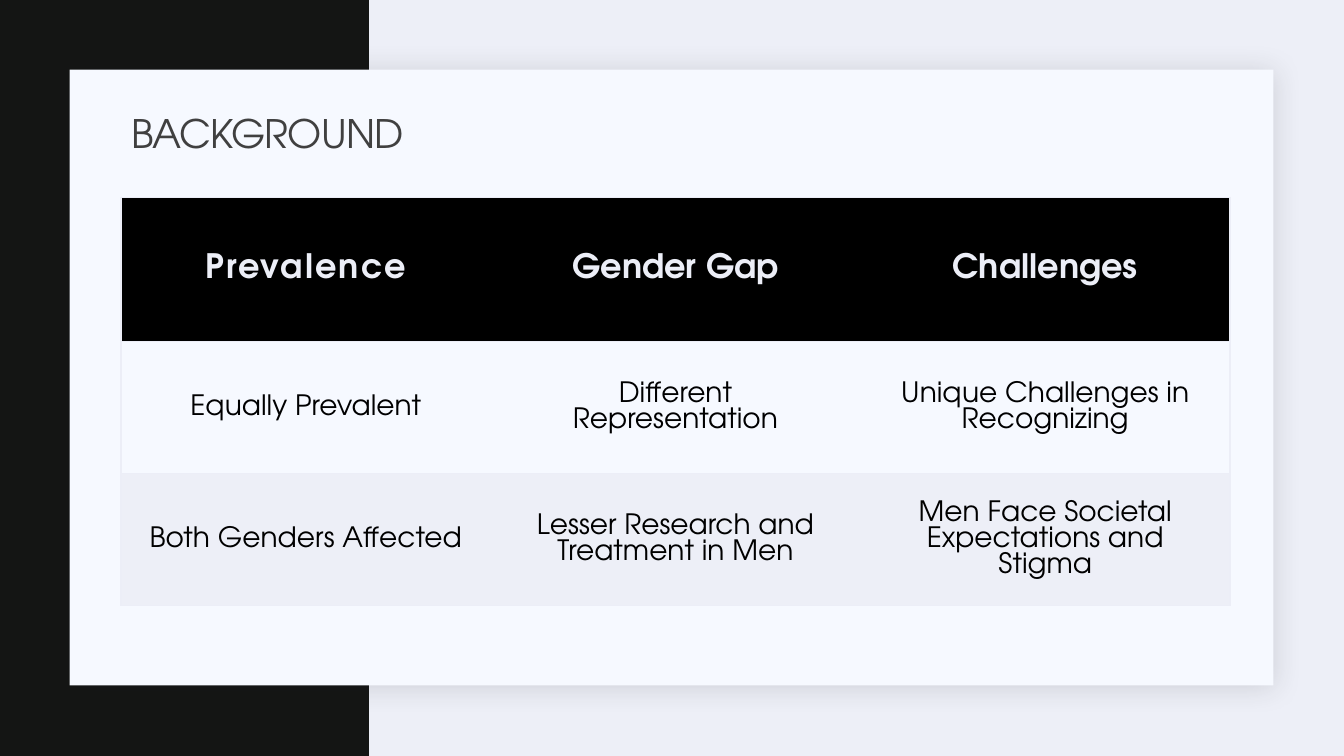
from lxml import etree
from pptx import Presentation
from pptx.dml.color import RGBColor
from pptx.enum import shapes, text
from pptx.oxml import ns
from pptx.util import Inches, Pt

INK = RGBColor(0x14, 0x15, 0x14)
BLACK = RGBColor(0, 0, 0)
GREY = RGBColor(0x40, 0x40, 0x40)
PAPER = RGBColor(0xF6, 0xF9, 0xFF)
MIST = RGBColor(0xED, 0xEF, 0xF7)
EDGE = RGBColor(0xEC, 0xEE, 0xF7)
SHADE = RGBColor(0x1F, 0x21, 0x25)
FONT = "TeX Gyre Adventor"


def write(frame, words, size, color, bold=False, gap=0, align=None, lead=None):
    """Fill a text frame; gap is letter spacing in points."""
    frame.vertical_anchor = text.MSO_ANCHOR.MIDDLE
    par = frame.paragraphs[0]
    par.alignment = align
    par.line_spacing = lead
    run = par.add_run()
    run.text = words
    font = run.font
    font.name, font.size, font.bold = FONT, Pt(size), bold
    font.color.rgb = color
    font._element.set("spc", str(int(gap * 100)))


def add(parent, tag, **attrs):
    node = etree.SubElement(parent, ns.qn(tag))
    for key, val in attrs.items():
        node.set(key, str(val))
    return node


prs = Presentation()
prs.slide_width, prs.slide_height = Inches(13.33), Inches(7.5)
slide = prs.slides.add_slide(prs.slide_layouts[5])
slide.background.fill.solid()
slide.background.fill.fore_color.rgb = MIST

# Backdrop: dark band and paper panel
for box, color in [((0, 0, 3.66, 7.5), INK), ((0.69, 0.69, 11.94, 6.11), PAPER)]:
    panel = slide.shapes.add_shape(shapes.MSO_SHAPE.RECTANGLE, *map(Inches, box))
    panel.shadow.inherit = False
    panel.fill.solid()
    panel.fill.fore_color.rgb = color
    panel.line.fill.background()

# Soft shadow under the panel
glow = panel._element.spPr.find(ns.qn("a:effectLst"))
soft = add(glow, "a:outerShdw", blurRad=Pt(20), dist=Pt(2), dir=45 * 60000,
           algn="tl", rotWithShape=0)
add(add(soft, "a:srgbClr", val=SHADE), "a:alpha", val=15000)

# Table
rows = [
    ("Prevalence", "Gender Gap", "Challenges"),
    ("Equally Prevalent", "Different Representation",
     "Unique Challenges in Recognizing"),
    ("Both Genders Affected", "Lesser Research and Treatment in Men",
     "Men Face Societal Expectations and Stigma"),
]
fills = [BLACK, PAPER, MIST]
highs = [1.43, 1.31, 1.31]
holder = slide.shapes.add_table(3, 3, Inches(1.2), Inches(1.96),
                                Inches(11), Inches(sum(highs)))
table = holder.table
for r, row in enumerate(rows):
    table.rows[r].height = Inches(highs[r])
    for c, words in enumerate(row):
        cell = table.cell(r, c)
        cell.margin_left = cell.margin_right = Inches(0.25)
        cell.margin_top = cell.margin_bottom = Inches(0.25)
        cell.vertical_anchor = text.MSO_ANCHOR.MIDDLE
        head = r == 0
        write(cell.text_frame, words, 24 if head else 20,
              EDGE if head else BLACK, bold=head,
              gap=1.5 if head and c == 0 else 0, align=text.PP_ALIGN.CENTER)
        # Borders come before the fill; inner uprights stay blank
        props = cell._tc.get_or_add_tcPr()
        for side in "LRTB":
            line = add(props, f"a:ln{side}", w=Pt(1))
            if side in "TB" or (side, c) in [("L", 0), ("R", 2)]:
                add(add(line, "a:solidFill"), "a:srgbClr", val=EDGE)
            else:
                add(line, "a:noFill")
        cell.fill.solid()
        cell.fill.fore_color.rgb = fills[r]

# Title, in front of the panel
title = slide.shapes.title
title.left, title.top = Inches(1.2), Inches(1.03)
title.width, title.height = Inches(11), Inches(0.64)
title.text_frame.word_wrap = True
write(title.text_frame, "BACKGROUND", 28, GREY, gap=-0.5,
      align=text.PP_ALIGN.LEFT, lead=0.9)
slide.shapes._spTree.append(title._element)

prs.save("out.pptx")
